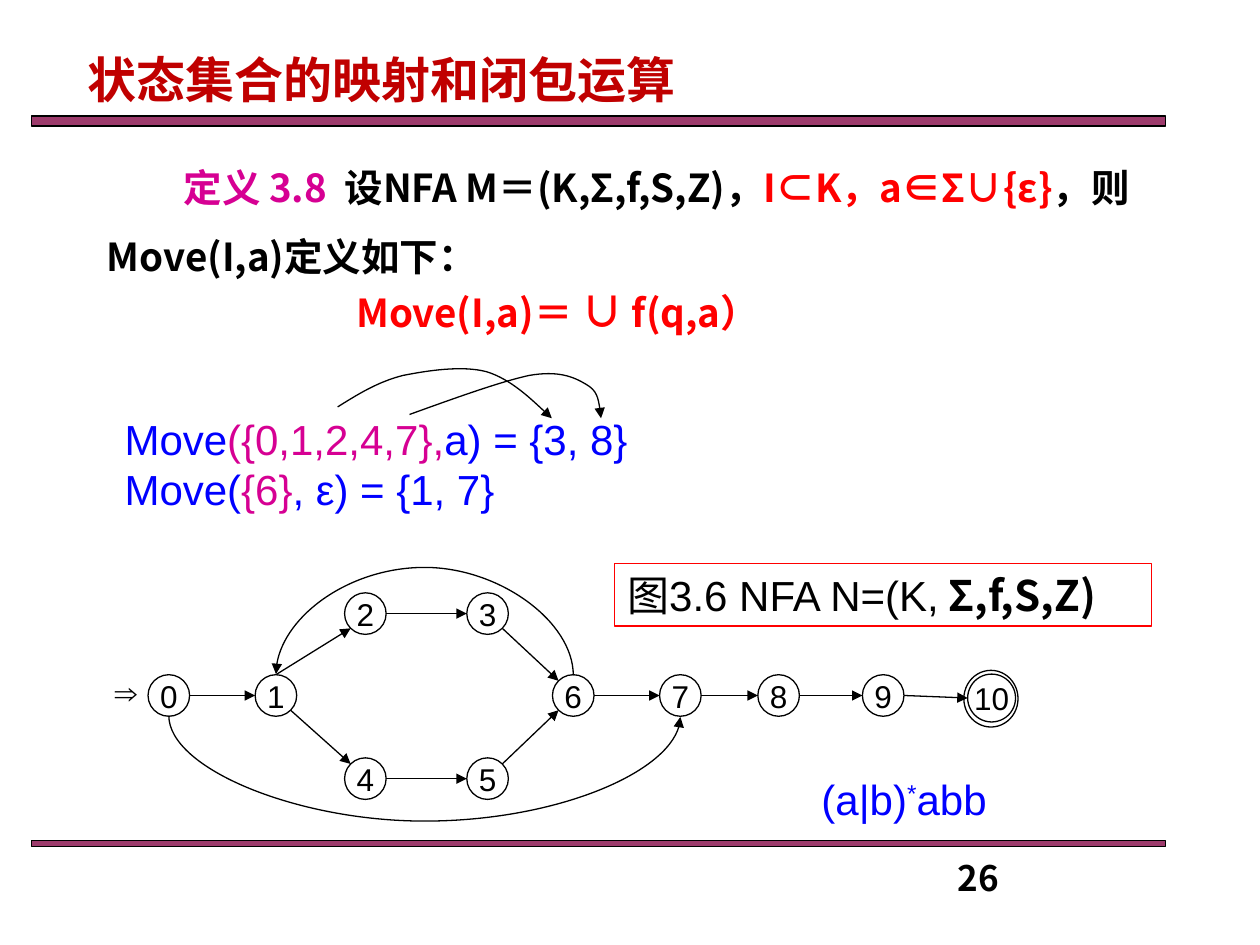
import math
import pptx
import pptx.util
import pptx.dml.color
import pptx.enum.text
import pptx.enum.shapes
import pptx.oxml.ns
from lxml import etree

Inches, Pt = pptx.util.Inches, pptx.util.Pt
ALIGN = pptx.enum.text.PP_ALIGN
SHAPE = pptx.enum.shapes.MSO_SHAPE
LINK = pptx.enum.shapes.MSO_CONNECTOR
qn = pptx.oxml.ns.qn

HUES = {"black": "000000", "bar": "993366", "title": "C00000", "red": "FF0000",
        "pink": "D60093", "blue": "0000FF"}
HAN, SANS, SERIF = "Noto Sans CJK SC", "Arial", "Times New Roman"

# Content: paragraphs are lists of (text, colour, changes)
TITLE = [[("状态集合的映射和闭包运算", "title", {})]]
RULE = [[("定义 3.8  ", "pink", {}), ("设NFA M＝(K,Σ,f,S,Z)，", "black", {}),
         ("I⊂K，a∈Σ∪{ε}", "red", {}), ("，则Move(I,a)定义如下：", "black", {})]]
MOVE = [[("Move(I,a)＝ ", "red", {}), ("∪", "red", {"size": 24}),
         (" f(q,a）", "red", {})]]
CASES = [[("Move", "blue", {}), ("({0,1,2,4,7},", "pink", {}),
          ("a) = {3, 8}", "blue", {})],
         [("Move(", "blue", {}), ("{6}", "pink", {}), (", ε) = {1, 7}", "blue", {})]]
LABEL = [[("图3.6 NFA N=(K,", "black", {}),
          (" Σ,f,S,Z)", "black", {"font": HAN, "bold": True})]]
REGEX = [[("(a|b)", "blue", {}), ("*", "blue", {"base": 30}), ("abb", "blue", {})]]

# Automaton: state -> centre and radius
R = 0.165
MID, TOP, LOW = 5.52, 4.87, 6.18
NODES = {"0": (1.34, MID, R), "1": (2.19, MID, R), "2": (2.9, TOP, R),
         "3": (3.87, TOP, R), "4": (2.9, LOW, R), "5": (3.87, LOW, R),
         "6": (4.55, MID, R), "7": (5.4, MID, R), "8": (6.18, MID, R),
         "9": (7.01, MID, R), "10": (7.87, 5.54, 0.19)}
SIDES = {"E": 0, "SE": 45, "S": 90, "SW": 135, "W": 180, "NW": 225, "N": 270,
         "NE": 315}
EDGES = [("0", "E", "1", "W"), ("1", "N", "2", "SW"), ("2", "E", "3", "W"),
         ("3", "SE", "6", "NW"), ("6", "E", "7", "W"), ("7", "E", "8", "W"),
         ("8", "E", "9", "W"), ("9", "E", "10", "W"), ("1", "SE", "4", "NW"),
         ("4", "E", "5", "W"), ("5", "NE", "6", "SW")]
# Arcs: from, to, side, height of the bend, flip
ARCS = [("0", "7", "S", 0.85, "flipH"), ("6", "1", "N", 0.87, "flipV")]

# Bezier chains: start point, then three points for each piece
CURVES = [
    [(2.68, 3.23), (2.84, 3.13), (3, 3.03), (3.2, 2.98), (3.4, 2.94), (3.67, 2.9),
     (3.86, 2.95), (4.06, 3.01), (4.37, 3.31), (4.38, 3.32)],
    [(3.25, 3.29), (3.61, 3.16), (3.97, 3.03), (4.2, 2.98), (4.43, 2.94),
     (4.55, 2.99), (4.65, 3.05), (4.74, 3.1), (4.76, 3.21), (4.77, 3.32)],
]

deck = pptx.Presentation()
deck.slide_width, deck.slide_height = Inches(10), Inches(7.5)
slide = deck.slides.add_slide(deck.slide_layouts[6])
shapes = slide.shapes


def paint(hue):
    return pptx.dml.color.RGBColor.from_string(HUES[hue])


def write(frame, paras, size=24, font=SANS, bold=False, align=ALIGN.LEFT,
          space=None, indent=0, wrap=True):
    frame.word_wrap = wrap
    for i, runs in enumerate(paras):
        para = frame.paragraphs[0] if i == 0 else frame.add_paragraph()
        para.alignment = align
        if space:
            para.line_spacing = space
        if indent:
            props = para._p.get_or_add_pPr()
            props.set("marL", "0")
            props.set("indent", str(Inches(indent)))
        for text, hue, diff in runs:
            run = para.add_run()
            run.text = text
            face = run.font
            face.size = Pt(diff.get("size", size))
            face.bold = diff.get("bold", bold)
            face.name = diff.get("font", font)
            face.color.rgb = paint(hue)
            props = run._r.get_or_add_rPr()
            east = etree.SubElement(props, qn("a:ea"))
            east.set("typeface", HAN if font == SANS else font)
            if "base" in diff:
                props.set("baseline", str(diff["base"] * 1000))


def text(paras, x, y, w, h, **style):
    box = shapes.add_textbox(Inches(x), Inches(y), Inches(w), Inches(h))
    write(box.text_frame, paras, **style)


def shape(kind, x, y, w, h, line="black", fill=None):
    item = shapes.add_shape(kind, Inches(x), Inches(y), Inches(w), Inches(h))
    item.shadow.inherit = False
    if fill:
        item.fill.solid()
        item.fill.fore_color.rgb = paint(fill)
    else:
        item.fill.background()
    item.line.color.rgb = paint(line)
    item.line.width = Pt(0.75)
    return item


def arrow(item):
    item.line.color.rgb = paint("black")
    item.line.width = Pt(0.75)
    tail = etree.SubElement(item.line._get_or_add_ln(), qn("a:tailEnd"))
    tail.set("type", "triangle")


def port(name, side):
    x, y, r = NODES[name]
    turn = math.radians(SIDES[side])
    return x + r * math.cos(turn), y + r * math.sin(turn)


def join(kind, *ends):
    link = shapes.add_connector(kind, *[Inches(v) for v in ends])
    arrow(link)
    etree.SubElement(link._element.spPr, qn("a:effectLst"))
    return link


def arc(start, end, side, bend, flip, thin=0.01):
    # A thin upright connector, turned on its side
    (x1, y), (x2, _) = port(start, side), port(end, side)
    mid, half = (x1 + x2) / 2, abs(x2 - x1) / 2
    link = join(LINK.CURVE, mid - thin / 2, y - half, mid + thin / 2, y + half)
    props = link._element.spPr
    frame = props.find(qn("a:xfrm"))
    frame.set("rot", str(270 * 60000))
    frame.set(flip, "1")
    guide = etree.SubElement(props.find(qn("a:prstGeom")).find(qn("a:avLst")),
                             qn("a:gd"))
    guide.set("name", "adj1")
    guide.set("fmla", f"val {round(bend / thin * 100000)}")


def curve(pts):
    spots = [(Inches(x), Inches(y)) for x, y in pts]
    knots = spots[::3]
    build = shapes.build_freeform(*knots[0])
    build.add_line_segments(knots[1:], close=False)
    item = build.convert_to_shape()
    # Turn each straight piece into a cubic one
    left, top = (min(k[d] for k in knots) for d in (0, 1))
    lines = list(item._element.spPr.iter(qn("a:lnTo")))
    for i, line in enumerate(lines):
        cubic = etree.Element(qn("a:cubicBezTo"))
        for x, y in spots[3 * i + 1:3 * i + 4]:
            etree.SubElement(cubic, qn("a:pt"), x=str(x - left), y=str(y - top))
        line.getparent().replace(line, cubic)
    item.shadow.inherit = False
    item.fill.background()
    arrow(item)


# Bars
for y, h in ((0.92, 0.08), (6.67, 0.05)):
    bar = shape(SHAPE.RECTANGLE, 0.25, y, 9, h, fill="bar")
    tint = bar.fill._xPr.find(qn("a:solidFill"))[0]
    etree.SubElement(tint, qn("a:alpha")).set("val", "96000")

# Title, definition, examples and page number
text(TITLE, -0.08, 0.25, 8.67, 0.67, size=28, font=HAN, bold=True,
     align=ALIGN.JUSTIFY, space=1.2, indent=0.68)
text(RULE, 0.75, 1.07, 8.67, 1.12, size=22, font=HAN, bold=True,
     space=1.5, indent=0.61)
text(MOVE, 2.73, 2.22, 4.08, 0.51, size=22, font=HAN, bold=True)
text(CASES, 0.89, 3.23, 4.96, 0.91)
text([[("26", "black", {})]], 7.5, 6.75, 2.33, 0.27, size=20, font=HAN, bold=True)

# States
for name, (x, y, r) in NODES.items():
    node = shape(SHAPE.OVAL, x - r, y - r, 2 * r, 2 * r)
    node.text_frame.vertical_anchor = pptx.enum.text.MSO_ANCHOR.MIDDLE
    write(node.text_frame, [[(name, "black", {})]], size=18,
          align=ALIGN.CENTER, wrap=False)
shape(SHAPE.OVAL, 7.65, 5.32, 0.43, 0.45)
text([[("⇒", "black", {})]], 0.8, 5.29, 0.4, 0.4, size=18, font=SERIF,
     bold=True, align=ALIGN.CENTER)

# Transitions
for start, out, end, into in EDGES:
    join(LINK.STRAIGHT, *port(start, out), *port(end, into))
for row in ARCS:
    arc(*row)
for pts in CURVES:
    curve(pts)

# Figure label and expression
label = shape(SHAPE.RECTANGLE, 4.88, 4.47, 4.26, 0.5, line="red")
label.text_frame.vertical_anchor = pptx.enum.text.MSO_ANCHOR.TOP
write(label.text_frame, LABEL, wrap=False)
text(REGEX, 6.4, 6.09, 1.55, 0.5, align=ALIGN.CENTER)

deck.save("out.pptx")
